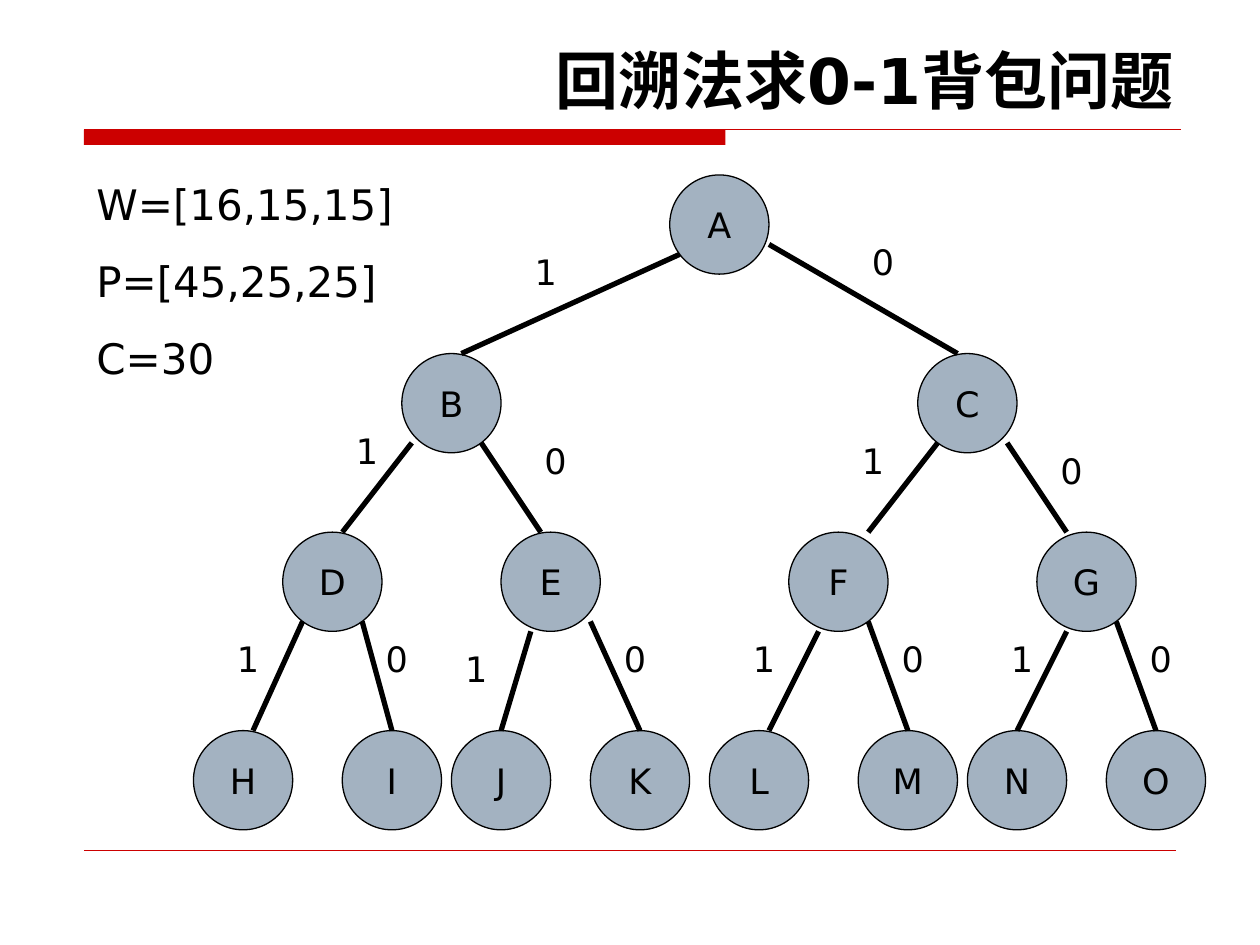
from lxml.etree import SubElement
from pptx import Presentation
from pptx.dml.color import RGBColor
from pptx.enum.shapes import MSO_CONNECTOR, MSO_SHAPE
from pptx.enum.text import MSO_ANCHOR, PP_ALIGN
from pptx.oxml.ns import qn
from pptx.util import Pt

color = RGBColor.from_string
RED, BLACK, NODE_FILL = "CC0000", "000000", "A3B2C1"


def write(shape, lines, size, align, wrap=True, bold=False, gap=0):
    """Fill a shape with one paragraph per line; gap separates paragraphs."""
    frame = shape.text_frame
    frame.word_wrap = wrap
    for index, line in enumerate(lines):
        paragraph = frame.add_paragraph() if index else frame.paragraphs[0]
        paragraph.text = line
        paragraph.alignment = align
        if index:
            paragraph.space_before = Pt(gap)
        font_format = {"name": "DejaVu Sans", "size": Pt(size), "bold": bold}
        for name, value in font_format.items():
            setattr(paragraph.font, name, value)
        paragraph.font.color.rgb = color(BLACK)


def draw_line(x1, y1, x2, y2, line_color, width):
    """Draw a straight connector without a shadow."""
    line = slide.shapes.add_connector(
        MSO_CONNECTOR.STRAIGHT, Pt(x1), Pt(y1), Pt(x2), Pt(y2))
    line.line.color.rgb = color(line_color)
    line.line.width = Pt(width)
    SubElement(line._element.spPr, qn("a:effectLst"))


presentation = Presentation()
presentation.slide_width, presentation.slide_height = Pt(720), Pt(540)
slide = presentation.slides.add_slide(presentation.slide_layouts[6])

# Red title rule and thin footer rule
bar = slide.shapes.add_shape(
    MSO_SHAPE.RECTANGLE, Pt(48), Pt(74.2), Pt(366.6), Pt(8.6))
bar.shadow.inherit = False
bar.fill.solid()
bar.fill.fore_color.rgb = color(RED)
bar.line.fill.background()
draw_line(48, 74.2, 674.6, 74.2, RED, 0.75)
draw_line(48, 486, 672, 486, RED, 0.25)

# Title
title = slide.shapes.add_textbox(Pt(36.7), Pt(20.2), Pt(640.8), Pt(50.4))
write(title, ["回溯法求0-1背包问题"], 36, PP_ALIGN.RIGHT, bold=True)

# The tree sits on a grid: node = 10 cells wide, label = 5 cells wide
CELL, LEFT, TOP = 5.67, 2.84, 3.6
levels = [
    (17, {"A": 67}),
    (35, {"B": 40, "C": 92}),
    (53, {"D": 28, "E": 50, "F": 79, "G": 104}),
    (73, {"H": 19, "I": 34, "J": 45, "K": 59,
          "L": 71, "M": 86, "N": 97, "O": 111}),
]
nodes = {name: (column, row)
         for row, columns in levels for name, column in columns.items()}

# Nodes
for name, (column, row) in nodes.items():
    node = slide.shapes.add_shape(
        MSO_SHAPE.OVAL, Pt(LEFT + column * CELL), Pt(TOP + row * CELL),
        Pt(10 * CELL), Pt(10 * CELL))
    node.shadow.inherit = False
    node.fill.solid()
    node.fill.fore_color.rgb = color(NODE_FILL)
    node.line.color.rgb = color(BLACK)
    node.line.width = Pt(0.75)
    node.text_frame.vertical_anchor = MSO_ANCHOR.MIDDLE
    write(node, [name], 20, PP_ALIGN.CENTER, wrap=False)

# Branches: parent, child, start offset in parent, end offset on the child's
# top, choice, and label cell
branches = [
    ("A", "B", (1, 8), 6, "1", (52, 24)),
    ("A", "C", (10, 7), 4, "0", (86, 23)),
    ("B", "D", (1, 9), 6, "1", (34, 42)),
    ("B", "E", (8, 9), 4, "0", (53, 43)),
    ("C", "F", (2, 9), 8, "1", (85, 43)),
    ("C", "G", (9, 9), 3, "0", (105, 44)),
    ("D", "H", (2, 9), 6, "1", (22, 63)),
    ("D", "I", (8, 9), 5, "0", (37, 63)),
    ("E", "J", (3, 10), 5, "1", (45, 64)),
    ("E", "K", (9, 9), 5, "0", (61, 63)),
    ("F", "L", (3, 10), 6, "1", (74, 63)),
    ("F", "M", (8, 9), 5, "0", (89, 63)),
    ("G", "N", (3, 10), 5, "1", (100, 63)),
    ("G", "O", (8, 9), 5, "0", (114, 63)),
]
for parent, child, (start_x, start_y), end_x, choice, (column, row) in branches:
    parent_column, parent_row = nodes[parent]
    child_column, child_row = nodes[child]
    draw_line(LEFT + (parent_column + start_x) * CELL,
              TOP + (parent_row + start_y) * CELL,
              LEFT + (child_column + end_x) * CELL,
              TOP + child_row * CELL, BLACK, 3)
    label = slide.shapes.add_textbox(
        Pt(LEFT + column * CELL), Pt(TOP + row * CELL), Pt(5 * CELL), Pt(31.7))
    write(label, [choice], 20, PP_ALIGN.CENTER)

# Problem data
data = slide.shapes.add_textbox(Pt(48), Pt(98.6), Pt(193), Pt(123.8))
write(data, ["W=[16,15,15]", "P=[45,25,25]", "C=30"], 24, PP_ALIGN.LEFT, gap=15)

presentation.save("out.pptx")
